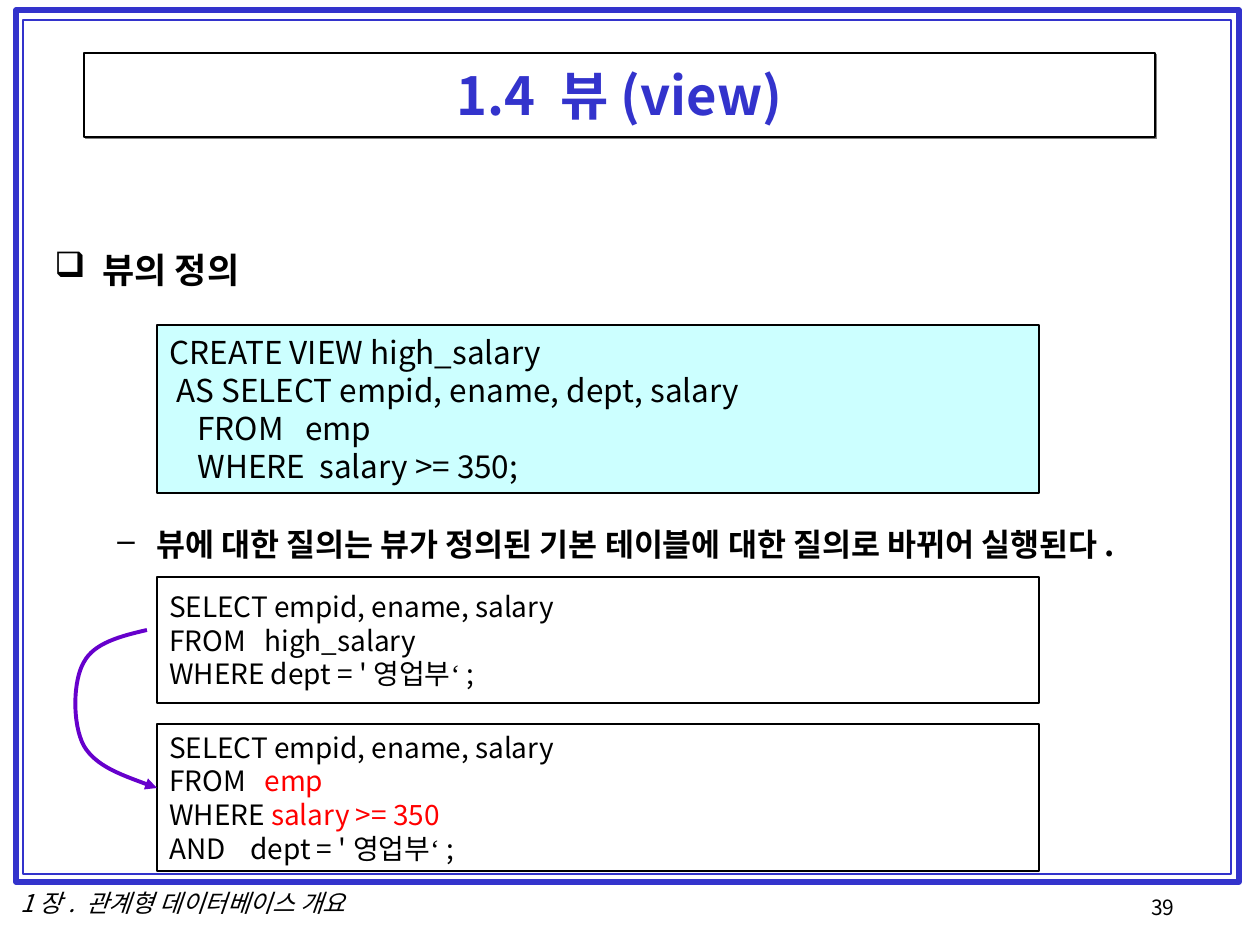
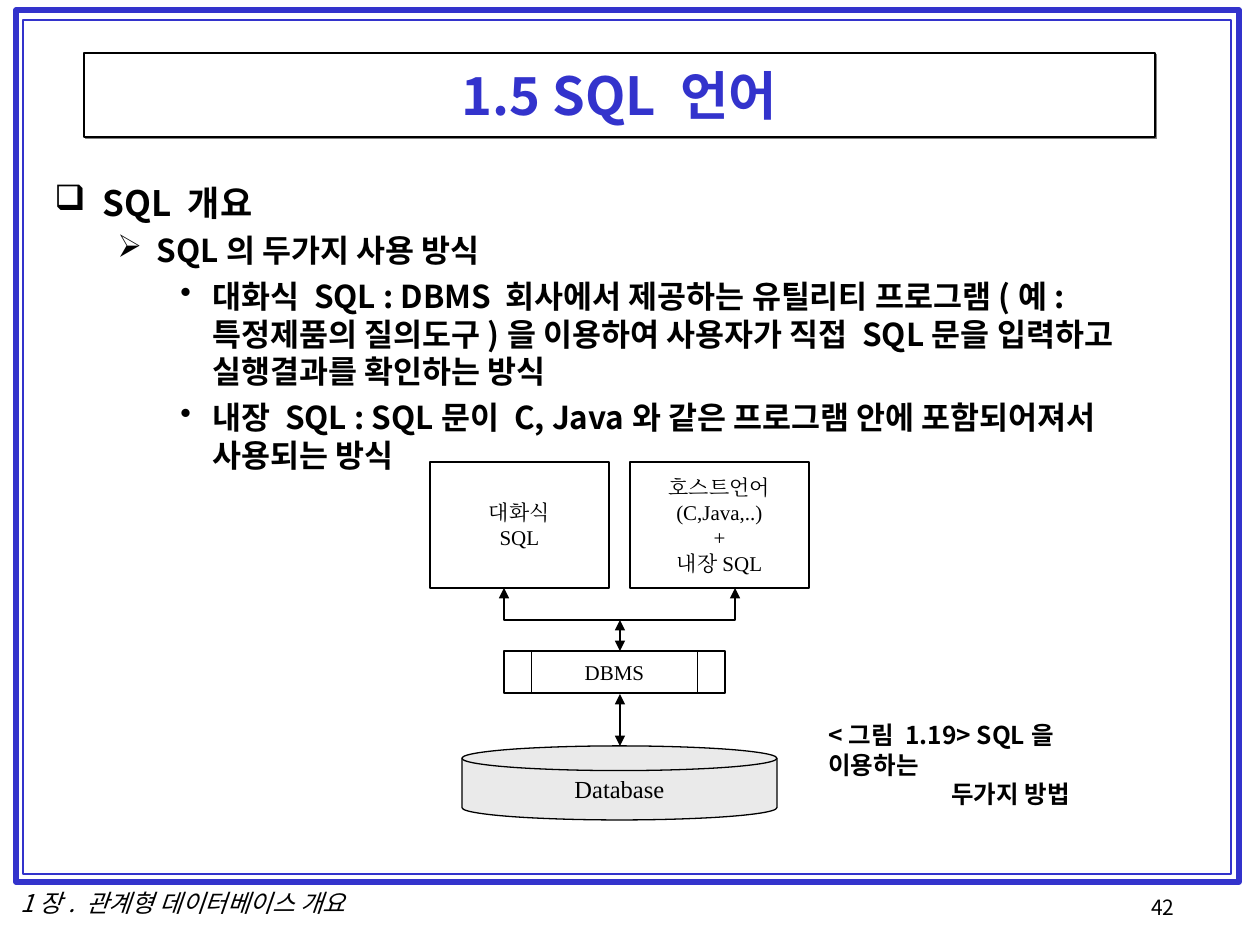
"""Build two database lecture slides: views and the SQL language."""
from lxml.etree import SubElement
from pptx import Presentation
from pptx.dml.color import RGBColor
from pptx.enum.shapes import MSO_CONNECTOR, MSO_SHAPE
from pptx.enum.text import MSO_ANCHOR, PP_ALIGN
from pptx.oxml.ns import qn
from pptx.util import Pt

PX = 914400 / 126
SANS, SERIF = "Noto Sans CJK KR", "Times New Roman"
BLUE, BLACK, WHITE, RED = "3333CC", "000000", "FFFFFF", "FF0000"
PURPLE, CYAN, GRAY, SHADOW = "6600CC", "CCFFFF", "EAEAEA", "808080"
color = RGBColor.from_string


def add_box(slide, bounds, fill=None, line=None, weight=0.75, kind=MSO_SHAPE.RECTANGLE):
    """Add a shape, or a plain text box when it has no line."""
    left, top, width, height = [round(length * PX) for length in bounds]
    if line is None:
        return slide.shapes.add_textbox(left, top, width, height)
    shape = slide.shapes.add_shape(kind, left, top, width, height)
    shape.shadow.inherit = False
    shape.line.color.rgb = color(line)
    shape.line.width = Pt(weight)
    if fill:
        shape.fill.solid()
        shape.fill.fore_color.rgb = color(fill)
    else:
        shape.fill.background()
    return shape


def write(shape, lines, size, font=SANS, ink=BLACK, bold=False, italic=False,
          alignment=PP_ALIGN.LEFT, anchor=MSO_ANCHOR.MIDDLE, wrap=True):
    """Write one paragraph a line, with runs split at each bar."""
    frame = shape.text_frame
    frame.word_wrap = wrap
    frame.vertical_anchor = anchor
    frame.text = "\n".join(line.split("|")[0] for line in lines)
    for paragraph, line in zip(frame.paragraphs, lines):
        paragraph.alignment = alignment
        for piece in line.split("|")[1:]:
            paragraph.add_run().text = piece
        for run in paragraph.runs:
            run.font.name = font
            run.font.size = Pt(size)
            run.font.bold = bold
            run.font.italic = italic
            run.font.color.rgb = color(ink)
            SubElement(run.font._element, qn("a:ea"), typeface=font)
    return frame.paragraphs


presentation = Presentation()
presentation.slide_width = round(1260 * PX)
presentation.slide_height = round(945 * PX)

bullet_levels = {
    "❑": (48, -48, 20, 0),
    "–": (102, -39, 18, 134),
    "➢": (102, -39, 18, 4.5),
    "•": (158, -32, 18, 4.5),
}
pages = [
    ("1.4 뷰(view)", "39", 242, [
        ("❑", "뷰의 정의"),
        ("–", "뷰에 대한 질의는 뷰가 정의된 기본 테이블에 대한 질의로 바뀌어 실행된다."),
    ]),
    ("1.5 SQL 언어", "42", 175, [
        ("❑", "SQL 개요"),
        ("➢", "SQL의 두가지 사용 방식"),
        ("•", "대화식 SQL : DBMS 회사에서 제공하는 유틸리티 프로그램(예: 특정제품의 질의도구)을 "
              "이용하여 사용자가 직접 SQL문을 입력하고 실행결과를 확인하는 방식"),
        ("•", "내장 SQL : SQL문이 C, Java와 같은 프로그램 안에 포함되어져서 사용되는 방식"),
    ]),
]
slides = []
for title, number, body_top, bullets in pages:
    slide = presentation.slides.add_slide(presentation.slide_layouts[6])
    slides.append(slide)
    write(add_box(slide, (1139, 886, 128, 42)), [number], 12, wrap=False)
    write(add_box(slide, (6, 881, 354, 43)), ["1장. 관계형 데이터베이스 개요"], 14,
          italic=True, alignment=PP_ALIGN.CENTER, wrap=False)
    add_box(slide, (16, 10, 1223, 872), line=BLUE, weight=3)
    add_box(slide, (23, 20, 1208, 854), line=BLUE, weight=1)

    title_box = add_box(slide, (84, 53, 1071, 84), WHITE, BLACK)
    effects = title_box.element.spPr.find(qn("a:effectLst"))
    shadow = SubElement(effects, qn("a:outerShdw"), dist=str(Pt(1.4)), dir="2700000")
    SubElement(shadow, qn("a:srgbClr"), val=SHADOW)
    write(title_box, [title], 30, ink=BLUE, bold=True, alignment=PP_ALIGN.CENTER)

    body = add_box(slide, (42, body_top, 1176, 609))
    paragraphs = write(body, [text for _, text in bullets], 18, bold=True,
                       anchor=MSO_ANCHOR.TOP)
    for paragraph, (mark, _) in zip(paragraphs, bullets):
        margin, indent, size, gap = bullet_levels[mark]
        paragraph.space_before = Pt(gap)
        properties = paragraph._element.get_or_add_pPr()
        properties.set("marL", str(round(margin * PX)))
        properties.set("indent", str(round(indent * PX)))
        SubElement(properties, qn("a:buChar"), char=mark)
        for run in paragraph.runs:
            run.font.size = Pt(size)

view_slide, sql_slide = slides

code_boxes = [
    (325, 168, CYAN, 18, ["CREATE VIEW high_salary",
                          " AS SELECT empid, ename, dept, salary",
                          "    FROM   emp",
                          "    WHERE  salary >= 350;"]),
    (577, 126, WHITE, 16, ["SELECT empid, ename, salary",
                           "FROM   high_salary",
                           "WHERE dept = '영업부|‘|;"]),
    (724, 147, WHITE, 16, ["SELECT empid, ename, salary",
                           "FROM   |emp",
                           "WHERE |salary >= 350",
                           "AND    dept = '영업부|‘|;"]),
]
for top, height, fill, size, code in code_boxes:
    code_box = add_box(view_slide, (157, top, 882, height), fill, BLACK)
    for paragraph in write(code_box, code, size):
        for run in paragraph.runs:
            if run.text in ("emp", "salary >= 350"):
                run.font.color.rgb = color(RED)
            elif run.text == "‘":
                run.font.name = SERIF
                run.font._element.find(qn("a:ea")).set("typeface", SERIF)

builder = view_slide.shapes.build_freeform(147, 630, scale=PX)
builder.add_line_segments([(121, 636), (94, 643), (84, 662),
                           (73, 680), (72, 724), (84, 746),
                           (96, 766), (127, 777), (157, 788)], close=False)
rewrite_arrow = builder.convert_to_shape()
outline = rewrite_arrow.element.spPr.find(".//" + qn("a:path"))
segments = outline.findall(qn("a:lnTo"))
for first in range(0, len(segments), 3):
    curve = SubElement(outline, qn("a:cubicBezTo"))
    for segment in segments[first:first + 3]:
        curve.append(segment[0])
        outline.remove(segment)

diagram_boxes = [
    ((430, 462, 179, 126), WHITE, MSO_SHAPE.RECTANGLE, 12, ["대화식", "SQL"]),
    ((630, 462, 179, 126), WHITE, MSO_SHAPE.RECTANGLE, 12,
     ["호스트언어", "(C,Java,..)", "+", "내장SQL"]),
    ((504, 651, 221, 42), None, MSO_SHAPE.FLOWCHART_PREDEFINED_PROCESS, 12, ["DBMS"]),
    ((462, 746, 315, 74), GRAY, MSO_SHAPE.FLOWCHART_MAGNETIC_DISK, 14, ["Database"]),
]
for bounds, fill, kind, size, lines in diagram_boxes:
    diagram_box = add_box(sql_slide, bounds, fill, BLACK, kind=kind)
    write(diagram_box, lines, size, SERIF, alignment=PP_ALIGN.CENTER, wrap=False)

builder = sql_slide.shapes.build_freeform(504, 588, scale=PX)
builder.add_line_segments([(504, 620), (735, 620), (735, 588)], close=False)
bracket = builder.convert_to_shape()
for shape in (rewrite_arrow, bracket):
    shape.fill.background()
    shape.shadow.inherit = False

arrows = [(rewrite_arrow, PURPLE, 2.25, ["a:tailEnd"]),
          (bracket, BLACK, 0.75, ["a:headEnd", "a:tailEnd"])]
for start, end in ((694, 746), (620, 651)):
    connector = sql_slide.shapes.add_connector(
        MSO_CONNECTOR.STRAIGHT, *[round(length * PX) for length in (620, start, 620, end)])
    arrows.append((connector, BLACK, 0.75, ["a:headEnd", "a:tailEnd"]))
for arrow, ink, weight, ends in arrows:
    arrow.line.color.rgb = color(ink)
    arrow.line.width = Pt(weight)
    properties = arrow.element.spPr
    for end in ends:
        SubElement(properties.find(qn("a:ln")), qn(end), type="triangle")
    if properties.find(qn("a:effectLst")) is None:
        SubElement(properties, qn("a:effectLst"))

caption = write(add_box(sql_slide, (816, 714, 280, 102)),
                ["<그림 1.19> SQL을 이용하는", "두가지 방법"], 14, bold=True, anchor=MSO_ANCHOR.TOP)
caption[1]._element.get_or_add_pPr().set("marL", str(round(123 * PX)))

presentation.save("out.pptx")
